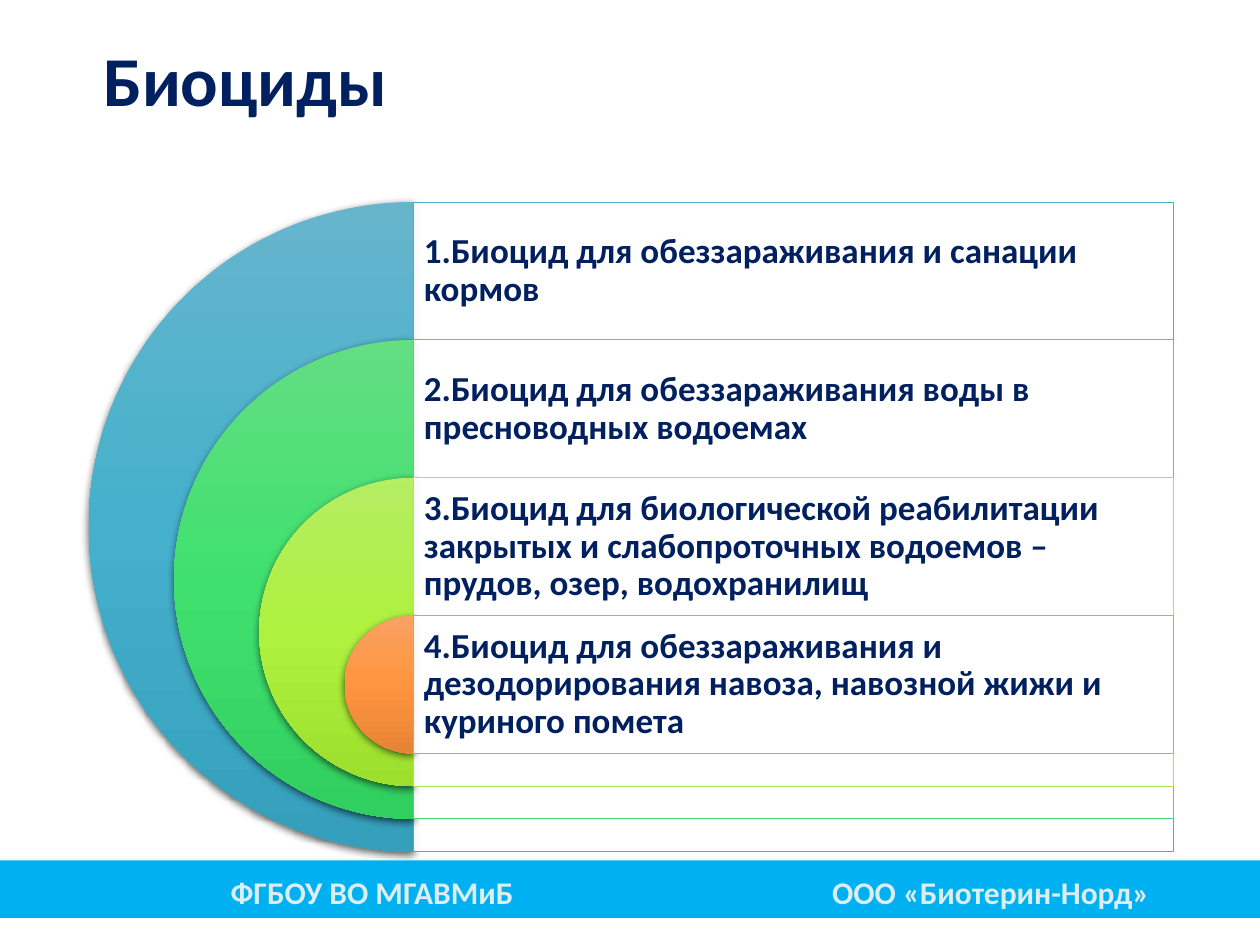
from copy import deepcopy

from lxml import etree
from pptx import Presentation
from pptx.dml.color import RGBColor
from pptx.enum.shapes import MSO_SHAPE
from pptx.enum.text import MSO_ANCHOR, PP_ALIGN
from pptx.oxml import parse_xml
from pptx.oxml.ns import nsdecls, qn
from pptx.util import Pt

PIE, RECT = MSO_SHAPE.PIE, MSO_SHAPE.RECTANGLE
LEFT, CENTER = PP_ALIGN.LEFT, PP_ALIGN.CENTER
TOP, MIDDLE = MSO_ANCHOR.TOP, MSO_ANCHOR.MIDDLE

THEME = {
    "font": "Calibri",
    "navy": "002060", "pale": "DBEEF4", "bar": "00B0F0", "panel": "FFFFFF",
    "title": 40, "body": 20, "footer": 18,
}
# text, gradient from top to bottom, panel outline
LEVELS = [
    ("1.Биоцид для обеззараживания и санации кормов",
     ("66B5CD", "45B0CC", "36A0BC"), "4BACC6"),
    ("2.Биоцид для обеззараживания воды в пресноводных водоемах",
     ("63DE83", "40E06F", "31CF5F"), "47D872"),
    ("3.Биоцид для биологической реабилитации закрытых и слабопроточных "
     "водоемов – прудов, озер, водохранилищ",
     ("B5ED63", "AEF13E", "9DDF2D"), "ACE946"),
    ("4.Биоцид для обеззараживания и дезодорирования навоза, навозной жижи "
     "и куриного помета",
     ("FAA263", "FF953E", "E58435"), "F79646"),
]
# text, left, width
FOOTERS = [("ФГБОУ ВО МГАВМиБ", 123.8, 177.8),
           ("ООО «Биотерин-Норд»", 451.5, 229.5)]


def write(tf, text, size, color, align, anchor, inset=None, spacing=None):
    """Fill a text frame with one bold paragraph and return its run."""
    tf.vertical_anchor = anchor
    if inset is not None:
        for side in ("left", "top", "right", "bottom"):
            setattr(tf, f"margin_{side}", Pt(inset))
    p = tf.paragraphs[0]
    p.alignment, p.line_spacing = align, spacing
    r = p.add_run()
    r.text = text
    fmt = {"name": THEME["font"], "size": Pt(size), "bold": True}
    for name, value in fmt.items():
        setattr(r.font, name, value)
    r.font.color.rgb = RGBColor.from_string(color)
    return r


def add_plain(kind, x, y, w, h):
    """Add a preset shape without shadow or outline."""
    sp = s.shapes.add_shape(kind, Pt(x), Pt(y), Pt(w), Pt(h))
    sp.shadow.inherit = False
    sp.line.fill.background()
    return sp


prs = Presentation()
prs.slide_width, prs.slide_height = Pt(720), Pt(540)
s = prs.slides.add_slide(prs.slide_layouts[5])

title = s.shapes.title
title.left, title.top, title.width, title.height = Pt(51.8), Pt(9.4), Pt(617), Pt(77)
r = write(title.text_frame, "Биоциды", THEME["title"], THEME["navy"], LEFT, MIDDLE,
          spacing=0.9)
r.font._element.insert(0, parse_xml(
    f'<a:ln {nsdecls("a")} w="{Pt(0.75)}"><a:solidFill>'
    f'<a:srgbClr val="{THEME["pale"]}"/></a:solidFill></a:ln>'))

# Nested half discs: each starts one row lower and is smaller by a fixed step
axis, top, row, outer = 236.3, 115.4, 78.8, 371.2
panel_w = 434.2
step = (outer - row) / (len(LEVELS) - 1)
for i, (text, colors, outline) in enumerate(LEVELS):
    y, size = top + i * row, outer - i * step

    disc = add_plain(PIE, axis - size / 2, y, size, size)
    disc.adjustments[0], disc.adjustments[1] = 54, 162
    disc.fill.gradient()
    disc.fill.gradient_angle = 270
    first = disc._element.spPr.find(f".//{qn('a:gs')}")
    first.addnext(deepcopy(first))
    for stop, position, color in zip(disc.fill.gradient_stops, (0, 0.5, 1), colors):
        stop.position = position
        stop.color.rgb = RGBColor.from_string(color)
    disc._element.spPr.find(qn("a:effectLst")).append(parse_xml(
        f'<a:outerShdw {nsdecls("a")} blurRad="{Pt(4.5)}" dist="{Pt(1.5)}" '
        'dir="5400000" rotWithShape="0"><a:srgbClr val="000000">'
        '<a:alpha val="63000"/></a:srgbClr></a:outerShdw>'))

    panel = add_plain(RECT, axis, y, panel_w, size)
    panel.fill.solid()
    panel.fill.fore_color.rgb = RGBColor.from_string(THEME["panel"])
    fill_color = panel._element.spPr.find(f"{qn('a:solidFill')}/{qn('a:srgbClr')}")
    etree.SubElement(fill_color, qn("a:alpha"), val="90000")
    panel.line.color.rgb = RGBColor.from_string(outline)
    panel.line.width = Pt(0.5)

    tf = s.shapes.add_textbox(Pt(axis), Pt(y), Pt(panel_w), Pt(row)).text_frame
    tf.word_wrap = True
    write(tf, text, THEME["body"], THEME["navy"], LEFT, MIDDLE, 6, 0.9)

bar = add_plain(RECT, 0, 491.6, 720, 33)
bar.fill.solid()
bar.fill.fore_color.rgb = RGBColor.from_string(THEME["bar"])
for text, x, w in FOOTERS:
    tf = s.shapes.add_textbox(Pt(x), Pt(495.4), Pt(w), Pt(29)).text_frame
    tf.word_wrap = False
    write(tf, text, THEME["footer"], THEME["pale"], CENTER, TOP)

prs.save("out.pptx")
